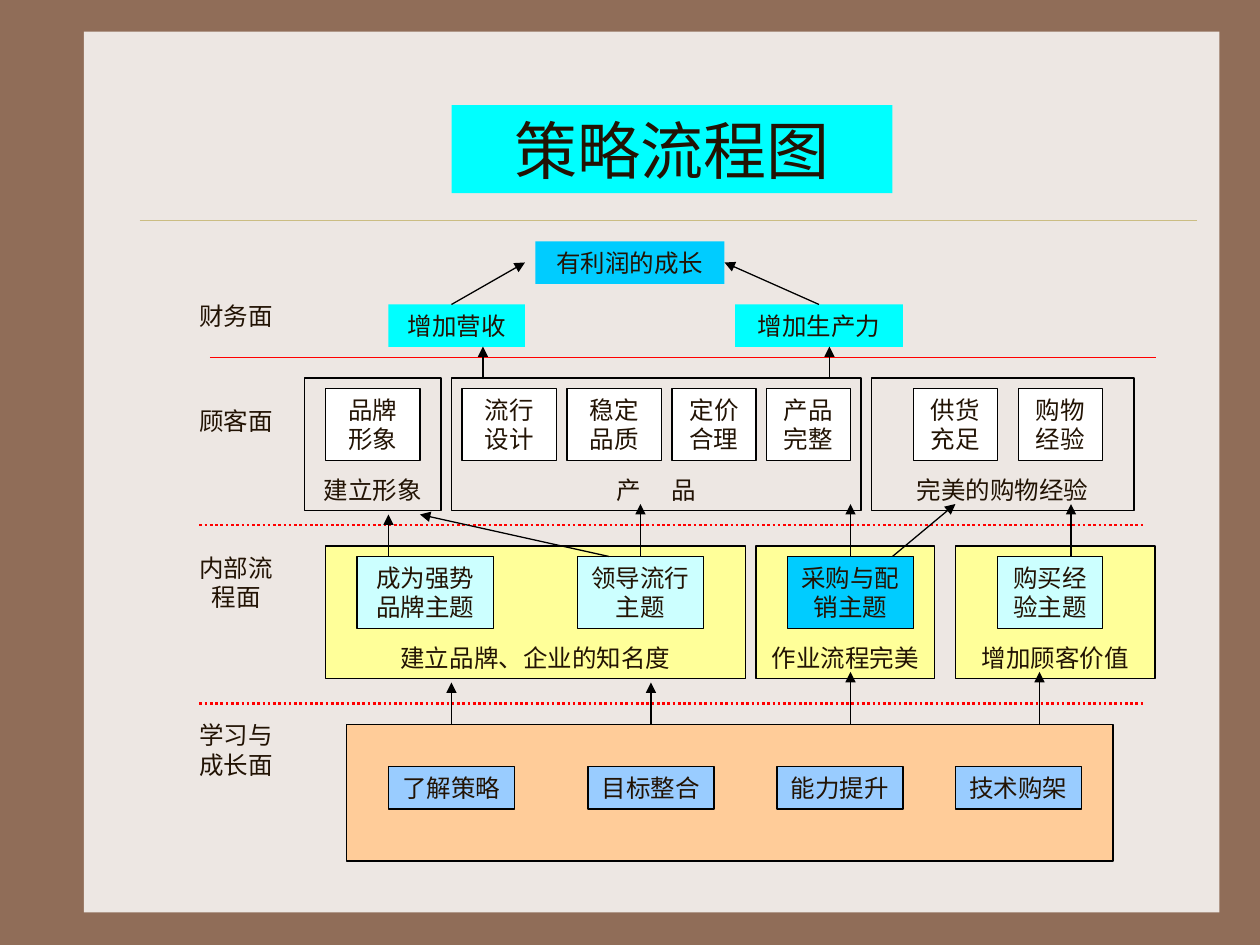
from lxml.etree import SubElement as Sub
from pptx import Presentation
from pptx.dml.color import RGBColor as Rgb
from pptx.enum.dml import MSO_LINE as Dash
from pptx.enum.shapes import MSO_CONNECTOR as Conn, MSO_SHAPE as Form
from pptx.enum.text import MSO_ANCHOR as Anchor, PP_ALIGN as Align
from pptx.oxml.ns import qn
from pptx.util import Inches, Pt

UNIT = Inches(10) // 120
ONE, TWO, FRAME = 4.05, 6.85, 12.6
FONT = "Times New Roman"
INK = {
    "back": "906D58", "panel": "EDE7E3", "rule": "CBBD83", "text": "221304",
    "aqua": "00FFFF", "sky": "00CCFF", "white": "FFFFFF", "black": "000000",
    "red": "FF0000", "lemon": "FFFF99", "ice": "CCFFFF", "peach": "FFCC99",
    "blue": "99CCFF",
}


def ink(name):
    return Rgb.from_string(INK[name])


def grid(*cells):
    return [round(cell * UNIT) for cell in cells]


def style(run, size=14):
    run.font.name = FONT
    run.font.size = Pt(size)
    run.font.color.rgb = ink("text")


def write(shape, text, size=14, anchor=Anchor.MIDDLE):
    frame = shape.text_frame
    frame.text = text
    frame.word_wrap = True
    frame.vertical_anchor = anchor
    para = frame.paragraphs[0]
    para.alignment = Align.CENTER
    for run in para.runs:
        style(run, size)


def box(slide, area, fill=None, edge=True, text="", anchor=Anchor.MIDDLE):
    shape = slide.shapes.add_shape(Form.RECTANGLE, *grid(*area))
    shape.shadow.inherit = False
    if fill:
        shape.fill.solid()
        shape.fill.fore_color.rgb = ink(fill)
    else:
        shape.fill.background()
    if edge:
        shape.line.color.rgb = ink("black")
        shape.line.width = Pt(0.75)
    else:
        shape.line.fill.background()
    if text:
        write(shape, text, anchor=anchor)
    return shape


def group(slide, left, top, width, text, fill=None):
    return box(slide, (left, top, width, FRAME), fill, text=text,
               anchor=Anchor.BOTTOM)


def spread(shape, text, gap):
    para = shape.text_frame.paragraphs[0]
    head = para.runs[0]
    head.text = text[0] + " "
    head.font._element.set("spc", str(gap * 100))
    tail = para.add_run()
    tail.text = text[1:]
    style(tail)


def label(slide, top, height, text):
    write(slide.shapes.add_textbox(*grid(17, top, 11, height)), text)


def line(slide, ends, color, width):
    link = slide.shapes.add_connector(Conn.STRAIGHT, *grid(*ends))
    link.line.color.rgb = ink(color)
    link.line.width = Pt(width)
    Sub(link._element.spPr, qn("a:effectLst"))
    return link


def dots(slide, left, right, y, width):
    line(slide, (left, y, right, y), "red", width).line.dash_style = Dash.ROUND_DOT


def arrow(slide, *ends):
    link = line(slide, ends, "black", 0.75)
    Sub(link.line._get_or_add_ln(), qn("a:tailEnd"), type="triangle")


def base(slide):
    slide.background.fill.solid()
    slide.background.fill.fore_color.rgb = ink("back")
    panel = box(slide, (8, 3, 108.15, 83.9), "panel", False)
    slide.shapes._spTree.insert(2, panel._element)
    line(slide, (13.3, 21, 114, 21), "rule", 0.25)
    title = slide.shapes.title
    title.left, title.top, title.width, title.height = grid(43, 10, 42, 8.4)
    title.fill.solid()
    title.fill.fore_color.rgb = ink("aqua")
    write(title, "策略流程图", 36)


def boxes(slide):
    for left, top, width, fill, text in (
            (51, 23, 18, "sky", "有利润的成长"),
            (70, 29, 16, "aqua", "增加生产力"),
            (37, 29, 13, "aqua", "增加营收")):
        box(slide, (left, top, width, ONE), fill, False, text)

    group(slide, 29, 36, 13, "建立形象")
    goods = group(slide, 43, 36, 39, "产品")
    spread(goods, "产品", 7)
    group(slide, 83, 36, 25, "完美的购物经验")
    for left, width, text in (
            (31, 9, "品牌形象"), (44, 9, "流行设计"), (54, 9, "稳定品质"),
            (64, 8, "定价合理"), (73, 8, "产品完整"), (87, 8, "供货充足"),
            (97, 8, "购物经验")):
        box(slide, (left, 37, width, TWO), "white", text=text)

    for left, width, text in (
            (31, 40, "建立品牌、企业的知名度"), (72, 17, "作业流程完美"),
            (91, 19, "增加顾客价值")):
        group(slide, left, 52, width, text, "lemon")
    for left, width, fill, text in (
            (34, 13, "ice", "成为强势品牌主题"), (55, 12, "ice", "领导流行主题"),
            (75, 12, "sky", "采购与配销主题"), (95, 10, "ice", "购买经验主题")):
        box(slide, (left, 53, width, TWO), fill, text=text)

    box(slide, (33, 69, 73, 13), "peach")
    for left, text in ((37, "了解策略"), (56, "目标整合"),
                       (74, "能力提升"), (91, "技术购架")):
        box(slide, (left, 73, 12, ONE), "blue", text=text)


def main():
    deck = Presentation()
    deck.slide_width, deck.slide_height = grid(120, 90)
    slide = deck.slides.add_slide(deck.slide_layouts[5])
    base(slide)
    boxes(slide)
    for top, height, text in (
            (28, ONE, "财务面"), (38, ONE, "顾客面"),
            (52, TWO, "内部流程面"), (68, TWO, "学习与成长面")):
        label(slide, top, height, text)
    dots(slide, 20, 110, 34, 0.25)
    for y in (50, 67):
        dots(slide, 19, 109, y, 1.5)
    for x, low, high in (
            (43, 69, 65), (62, 69, 65), (81, 69, 64), (99, 69, 64),
            (37, 53, 49), (61, 53, 48), (81, 53, 48), (102, 53, 48),
            (46, 36, 33), (79, 36, 33)):
        arrow(slide, x, low, x, high)
    for ends in ((58, 53, 40, 49), (85, 53, 91, 48),
                 (43, 29, 50, 25), (78, 29, 69, 25)):
        arrow(slide, *ends)
    deck.save("out.pptx")


if __name__ == "__main__":
    main()
